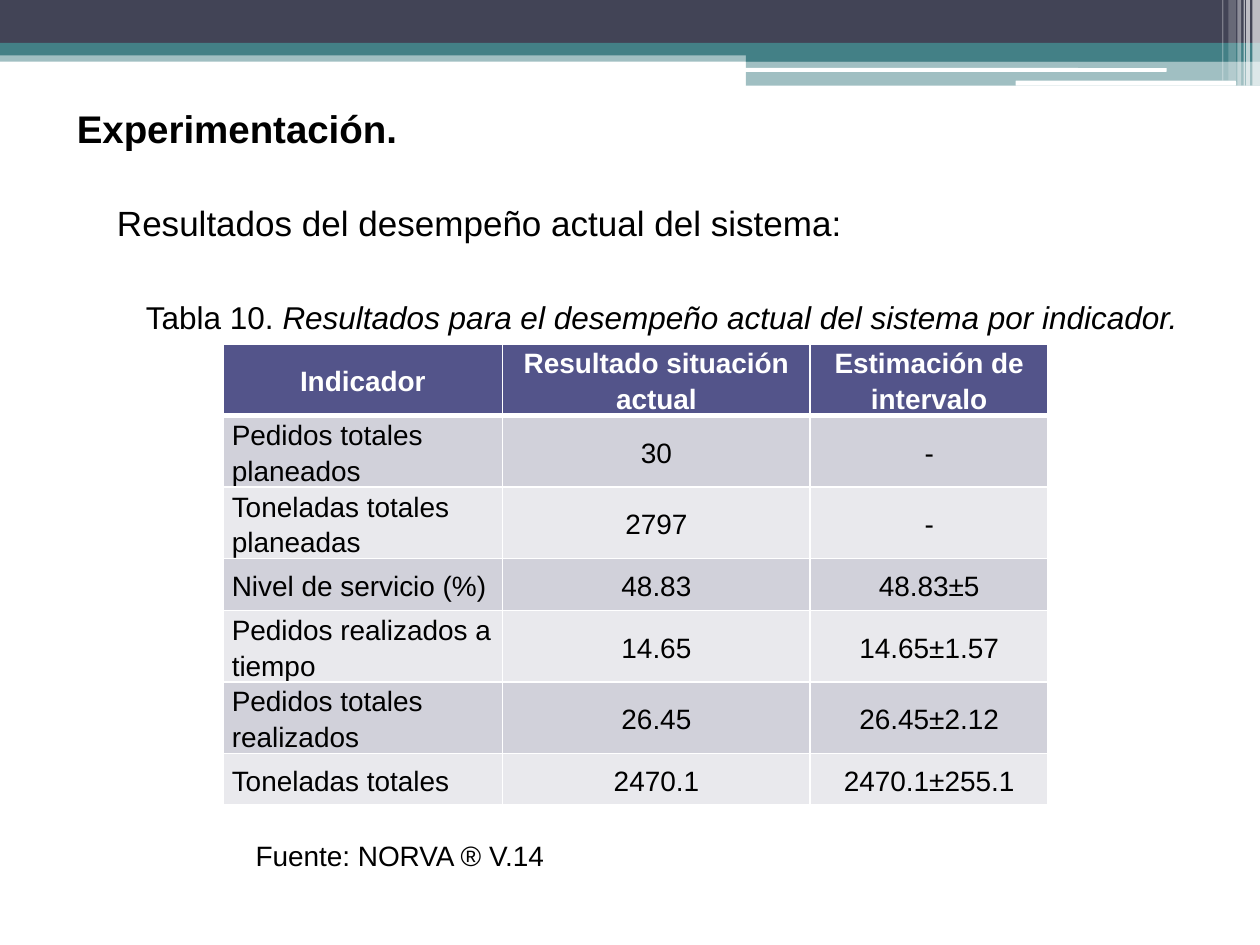
"""Build the slide with the current performance results of the system."""
from dataclasses import dataclass

from lxml import etree
from pptx import Presentation
from pptx import util as u
from pptx.dml.color import RGBColor
from pptx.enum import shapes, text
from pptx.oxml.ns import qn

COLS, ROWS = 100, 75
WIDTH, HEIGHT = u.Inches(10), u.Inches(7.5)


@dataclass(frozen=True)
class Theme:
    font: str = "Arial"
    ink: str = "000000"
    white: str = "FFFFFF"
    navy: str = "424456"
    teal: str = "438086"
    header: str = "53548A"
    bands: tuple = ("D1D1DA", "E9E9ED")
    title: int = 22
    lead: int = 20
    caption: int = 18
    cell: int = 16


@dataclass(frozen=True)
class Box:
    col: float
    row: float
    cols: float
    rows: float

    def emu(self) -> tuple:
        return across(self.col), down(self.row), across(self.cols), down(self.rows)


@dataclass(frozen=True)
class Bar:
    box: Box
    color: str
    opacity: int = 100
    rounded: bool = False


@dataclass(frozen=True)
class Label:
    box: Box
    size: int
    plain: str
    italic: str = ""


T = Theme()

BARS = [
    Bar(Box(0, 4, 100, 0.9), T.teal, 50),
    Bar(Box(0, 0, 100, 3.4), T.navy),
    Bar(Box(0, 3.4, 100, 1), T.teal),
    Bar(Box(59.2, 3.9, 40.8, 1), T.teal),
    Bar(Box(59.2, 4.8, 40.8, 2), T.teal, 50),
    Bar(Box(59.1, 5.4, 33.5, 0.3), T.white, rounded=True),
    Bar(Box(80.6, 6.4, 17.5, 0.4), T.white, rounded=True),
] + [
    Bar(Box(col, 0, cols, rows), T.white, opacity)
    for col, cols, rows, opacity in [
        (99.4, 0.6, 6.8, 65), (98.9, 0.3, 6.8, 65), (98.7, 0.1, 6.8, 60),
        (98.2, 0.3, 6.8, 40), (97.5, 0.6, 6.4, 20), (97, 0.1, 6.4, 30)]
]

LABELS = [
    Label(Box(8.3, 15.5, 77.2, 4.4), T.lead, "Resultados del desempeño actual del sistema:"),
    Label(Box(19.3, 66.1, 34.6, 3.7), T.cell, "Fuente: NORVA ® V.14"),
    Label(Box(10.6, 23.2, 85, 4), T.caption, "Tabla 10. ",
          "Resultados para el desempeño actual del sistema por indicador."),
]

TITLE_BOX = Box(5.1, 7.8, 56.7, 4.7)
TABLE_BOX = Box(17.7, 27.3, 65.5, 38.9)
TABLE_COLS = (22.2, 24.4, 18.9)
TABLE_ROW = 4.1
RESULTS = [
    ("Indicador", "Resultado situación actual", "Estimación de intervalo"),
    ("Pedidos totales planeados", "30", "-"),
    ("Toneladas totales planeadas", "2797", "-"),
    ("Nivel de servicio (%)", "48.83", "48.83±5"),
    ("Pedidos realizados a tiempo", "14.65", "14.65±1.57"),
    ("Pedidos totales realizados", "26.45", "26.45±2.12"),
    ("Toneladas totales", "2470.1", "2470.1±255.1"),
]


def across(cols: float) -> int:
    return round(WIDTH * cols / COLS)


def down(rows: float) -> int:
    return round(HEIGHT * rows / ROWS)


def style(font, size: int, color: str, bold: bool = False) -> None:
    font.name, font.size, font.bold = T.font, u.Pt(size), bold
    font.color.rgb = RGBColor.from_string(color)


def draw_bar(s, bar: Bar) -> None:
    kind = shapes.MSO_SHAPE.ROUNDED_RECTANGLE if bar.rounded else shapes.MSO_SHAPE.RECTANGLE
    sp = s.shapes.add_shape(kind, *bar.box.emu())
    sp.shadow.inherit = False
    sp.line.fill.background()
    sp.fill.solid()
    sp.fill.fore_color.rgb = RGBColor.from_string(bar.color)
    if bar.opacity < 100:
        color = next(sp.fill._xPr.iter(qn("a:srgbClr")))
        etree.SubElement(color, qn("a:alpha"), val=str(bar.opacity * 1000))


def draw_title(s, box: Box, words: str) -> None:
    sp = s.shapes.title
    sp.left, sp.top, sp.width, sp.height = box.emu()
    tf = sp.text_frame
    tf.text = words
    tf.vertical_anchor = text.MSO_ANCHOR.TOP
    p = tf.paragraphs[0]
    p.alignment = text.PP_ALIGN.LEFT
    style(p.font, T.title, T.ink, bold=True)


def draw_label(s, label: Label) -> None:
    tf = s.shapes.add_textbox(*label.box.emu()).text_frame
    tf.word_wrap = True
    p = tf.paragraphs[0]
    style(p.font, label.size, T.ink)
    p.add_run().text = label.plain
    if label.italic:
        r = p.add_run()
        r.text = label.italic
        r.font.italic = True


def draw_borders(cell, top: int, bottom: int) -> None:
    props = cell._tc.get_or_add_tcPr()
    for side, points in (("L", 1), ("R", 1), ("T", top), ("B", bottom)):
        line = etree.SubElement(props, qn(f"a:ln{side}"), w=str(u.Pt(points)))
        fill = etree.SubElement(line, qn("a:solidFill"))
        etree.SubElement(fill, qn("a:srgbClr"), val=T.white)


def draw_cell(cell, words: str, row: int, col: int) -> None:
    head = row == 0
    draw_borders(cell, top=3 if row == 1 else 1, bottom=3 if head else 1)
    cell.fill.solid()
    cell.fill.fore_color.rgb = RGBColor.from_string(T.header if head else T.bands[(row - 1) % 2])
    cell.vertical_anchor = text.MSO_ANCHOR.MIDDLE
    cell.margin_left = cell.margin_right = u.Inches(0.07)
    cell.margin_top = cell.margin_bottom = 0
    cell.text = words
    p = cell.text_frame.paragraphs[0]
    p.alignment = text.PP_ALIGN.CENTER if head or col else text.PP_ALIGN.LEFT
    p.line_spacing = 1.15
    style(p.font, T.cell, T.white if head else T.ink, bold=head)


def draw_table(s, box: Box, results: list) -> None:
    frame = s.shapes.add_table(len(results), len(TABLE_COLS), *box.emu())
    table = frame.table
    for column, cols in zip(table.columns, TABLE_COLS):
        column.width = across(cols)
    for row, values in enumerate(results):
        table.rows[row].height = down(TABLE_ROW)
        for col, words in enumerate(values):
            draw_cell(table.cell(row, col), words, row, col)
    frame.height = down(box.rows)


def main() -> None:
    prs = Presentation()
    prs.slide_width, prs.slide_height = WIDTH, HEIGHT
    s = prs.slides.add_slide(prs.slide_layouts[5])
    for bar in BARS:
        draw_bar(s, bar)
    draw_table(s, TABLE_BOX, RESULTS)
    draw_title(s, TITLE_BOX, "Experimentación.")
    for label in LABELS:
        draw_label(s, label)
    prs.save("out.pptx")


if __name__ == "__main__":
    main()
